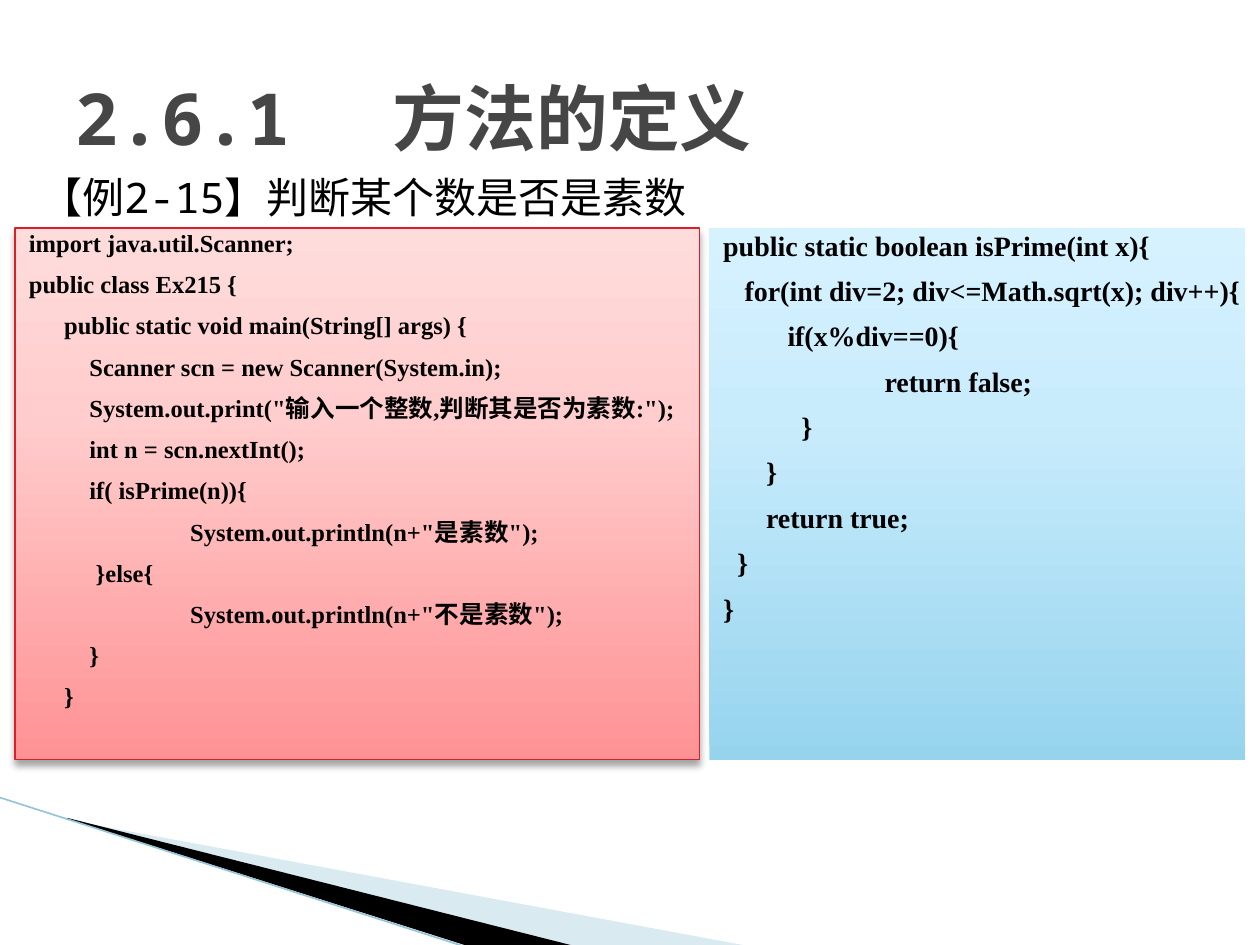
from copy import deepcopy

from lxml.etree import SubElement
from pptx import Presentation
from pptx.dml.color import RGBColor
from pptx.enum.shapes import MSO_CONNECTOR, MSO_SHAPE
from pptx.enum.text import MSO_ANCHOR, PP_ALIGN
from pptx.oxml.ns import qn
from pptx.util import Inches, Pt

COLORS = {
    "title": "464646",
    "text": "000000",
    "wedge": "000000",
    "pale_wedge": "A0CBDC",
    "edge": "97C5D8",
    "red_border": "DA1F28",
    "shadow": "000000",
}
RED_GRADIENT = ["FF9294", "FFCDCD", "FFDCDC"]
BLUE_GRADIENT = ["96D4EE", "C9ECFC", "D7F2FF"]
STOP_POSITIONS = [0, 0.65, 1]
HEADING_FONT = "Noto Sans Mono"
CODE_FONT = "Times New Roman"

MAIN_CODE = [
    (0.11, "import java.util.Scanner;"),
    (0.11, "public class Ex215 {"),
    (0.39, "public static void main(String[] args) {"),
    (0.59, "Scanner scn = new Scanner(System.in);"),
    (0.59, 'System.out.print("输入一个整数,判断其是否为素数:");'),
    (0.59, "int n = scn.nextInt();"),
    (0.59, "if( isPrime(n)){"),
    (1.39, 'System.out.println(n+"是素数");'),
    (0.64, "}else{"),
    (1.39, 'System.out.println(n+"不是素数");'),
    (0.59, "}"),
    (0.39, "}"),
]
PRIME_CODE = [
    (0.11, "public static boolean isPrime(int x){"),
    (0.28, "for(int div=2; div<=Math.sqrt(x); div++){"),
    (0.62, "if(x%div==0){"),
    (1.39, "return false;"),
    (0.73, "}"),
    (0.45, "}"),
    (0.45, "return true;"),
    (0.22, "}"),
    (0.11, "}"),
]


def color(value):
    """Turn a hex string into a colour."""
    return RGBColor.from_string(value)


def write_text(paragraph, text, *, size, font, fill="text", bold=False):
    """Write one formatted run into a paragraph."""
    run = paragraph.add_run()
    run.text = text
    run.font.size = Pt(size)
    run.font.name = font
    run.font.bold = bold
    run.font.color.rgb = color(COLORS[fill])


def add_heading(slide, left, top, width, height, text, tab_stop=None, **text_format):
    """Add a one-line heading, with an optional tab stop for its gap."""
    box = slide.shapes.add_textbox(
        Inches(left), Inches(top), Inches(width), Inches(height))
    frame = box.text_frame
    frame.word_wrap = True
    frame.vertical_anchor = MSO_ANCHOR.MIDDLE
    paragraph = frame.paragraphs[0]
    write_text(paragraph, text, font=HEADING_FONT, **text_format)
    if tab_stop:
        properties = paragraph._p.get_or_add_pPr()
        tabs = SubElement(properties, qn("a:tabLst"))
        SubElement(tabs, qn("a:tab"), pos=str(Inches(tab_stop)), algn="l")


def fill_gradient(shape, stop_colors):
    """Fill a shape with a gradient that rises from its bottom edge."""
    shape.fill.gradient()
    shape.fill.gradient_angle = 90
    stop_list = shape._element.spPr.find(".//" + qn("a:gsLst"))
    stop_list.append(deepcopy(stop_list[-1]))
    for stop, position, value in zip(
            shape.fill.gradient_stops, STOP_POSITIONS, stop_colors):
        stop.position = position
        stop.color.rgb = color(value)


def add_soft_shadow(shape):
    """Put a soft shadow below a shape."""
    effects = shape._element.spPr.find(qn("a:effectLst"))
    shadow = SubElement(
        effects, qn("a:outerShdw"), blurRad=str(Pt(4)), dist=str(Pt(3)),
        dir="5400000", rotWithShape="0")
    shade = SubElement(shadow, qn("a:srgbClr"), val=COLORS["shadow"])
    SubElement(shade, qn("a:alpha"), val="35000")


def add_code_panel(slide, left, top, width, height, lines, gradient, size, border=None):
    """Add a gradient panel of indented code lines."""
    panel = slide.shapes.add_shape(
        MSO_SHAPE.RECTANGLE, Inches(left), Inches(top), Inches(width), Inches(height))
    panel.shadow.inherit = False
    fill_gradient(panel, gradient)
    if border:
        panel.line.color.rgb = color(COLORS[border])
        panel.line.width = Pt(0.75)
        add_soft_shadow(panel)
    else:
        panel.line.fill.background()
    frame = panel.text_frame
    frame.word_wrap = True
    frame.vertical_anchor = MSO_ANCHOR.TOP
    frame.margin_left = frame.margin_top = frame.margin_right = frame.margin_bottom = 0
    for index, (indent, text) in enumerate(lines):
        paragraph = frame.add_paragraph() if index else frame.paragraphs[0]
        paragraph.alignment = PP_ALIGN.JUSTIFY
        paragraph.space_before = Pt(6.75)
        paragraph._p.get_or_add_pPr().set("marL", str(Inches(indent)))
        write_text(paragraph, text, size=size, font=CODE_FONT, bold=True)


def add_wedge(slide, left, top, points, fill, opacity=None):
    """Add a filled wedge whose points are offsets from its corner."""
    corners = [(Inches(left + x), Inches(top + y)) for x, y in points]
    builder = slide.shapes.build_freeform(*corners[0])
    builder.add_line_segments(corners[1:], close=True)
    wedge = builder.convert_to_shape()
    wedge.shadow.inherit = False
    wedge.fill.solid()
    wedge.fill.fore_color.rgb = color(COLORS[fill])
    wedge.line.fill.background()
    if opacity:
        shade = wedge._element.spPr.find(qn("a:solidFill"))[0]
        SubElement(shade, qn("a:alpha"), val=str(opacity * 1000))


def add_corner_decoration(slide, left, top):
    """Draw the wedges and edge line in the lower left corner."""
    add_wedge(slide, left + 0.55, top + 0.17,
              [(0, 0.01), (5.4, 1.01), (4.01, 1.01), (0, 0)], "pale_wedge", opacity=40)
    add_wedge(slide, left + 0.53, top + 0.16,
              [(0, 0), (4.04, 1.02), (3.19, 1.02), (0.01, 0.01)], "wedge")
    edge = slide.shapes.add_connector(
        MSO_CONNECTOR.STRAIGHT, Inches(left), Inches(top),
        Inches(left + 3.71), Inches(top + 1.19))
    edge.line.color.rgb = color(COLORS["edge"])
    edge.line.width = Pt(0.95)
    SubElement(edge._element.spPr, qn("a:effectLst"))


def main():
    """Build the slide and save it."""
    presentation = Presentation()
    presentation.slide_width = Inches(10)
    presentation.slide_height = Inches(7.5)
    slide = presentation.slides.add_slide(presentation.slide_layouts[6])
    add_corner_decoration(slide, 0, 6.33)
    add_heading(slide, 0.5, 0.3, 9, 1.25, "2.6.1\t方法的定义",
                tab_stop=2.52, size=41, fill="title", bold=True)
    add_code_panel(slide, 0.12, 1.81, 5.43, 4.22, MAIN_CODE, RED_GRADIENT, 14,
                   border="red_border")
    add_heading(slide, 0.22, 1.31, 9.58, 0.5, "【例2-15】判断某个数是否是素数", size=24)
    add_code_panel(slide, 5.63, 1.81, 4.25, 4.22, PRIME_CODE, BLUE_GRADIENT, 16)
    presentation.save("out.pptx")


if __name__ == "__main__":
    main()
